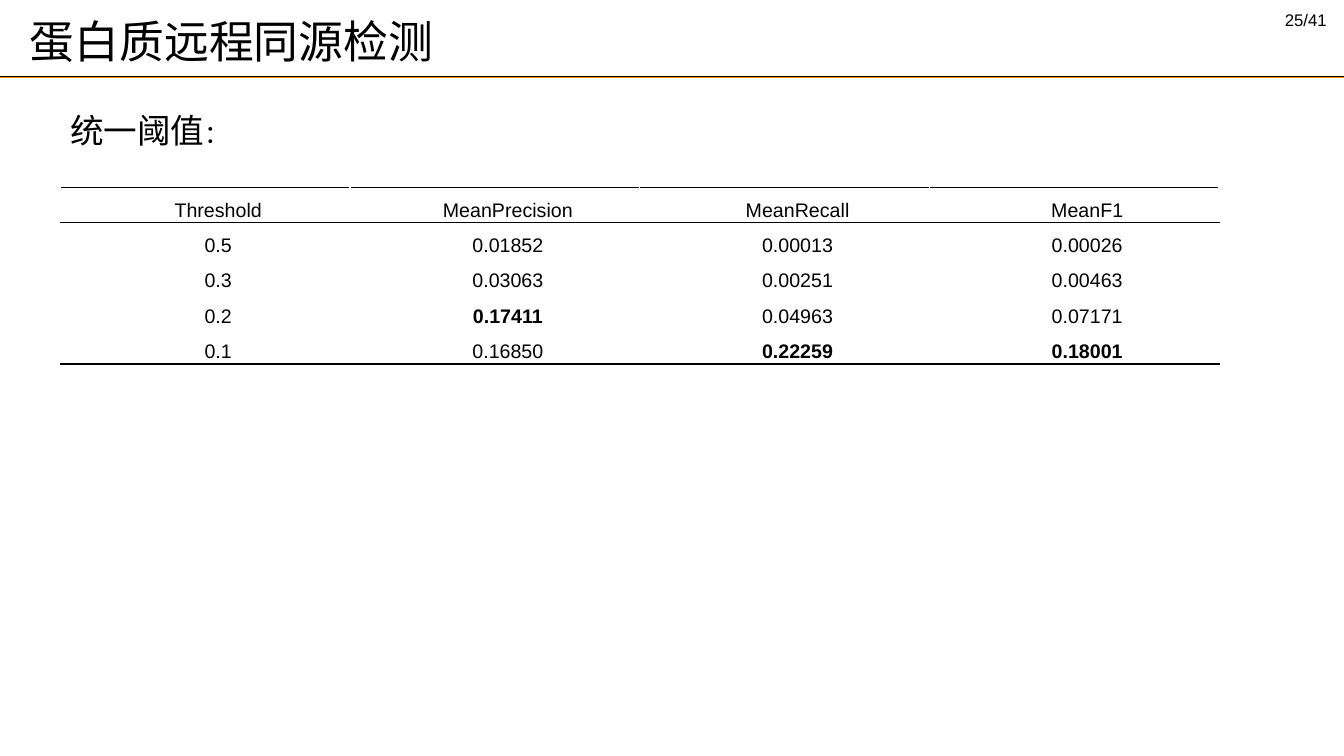
from dataclasses import dataclass

from lxml import etree
from pptx import Presentation
from pptx.dml.color import RGBColor
from pptx.enum.shapes import MSO_CONNECTOR
from pptx.enum.text import MSO_ANCHOR, MSO_AUTO_SIZE, PP_ALIGN
from pptx.oxml.ns import qn
from pptx.util import Cm, Pt

STRAIGHT = MSO_CONNECTOR.STRAIGHT
MIDDLE = MSO_ANCHOR.MIDDLE
TOP = MSO_ANCHOR.TOP
FIXED = MSO_AUTO_SIZE.NONE
GROW = MSO_AUTO_SIZE.SHAPE_TO_FIT_TEXT
LEFT = PP_ALIGN.LEFT
CENTER = PP_ALIGN.CENTER

FONT = "Arial"
COLORS = {"ink": "000000", "paper": "FFFFFF", "accent": "FF9900"}
SLIDE_WIDTH, SLIDE_HEIGHT = 33.87, 19.05
COLUMN_WIDTH, ROW_HEIGHT = 7.3, 0.89
FIRST_LINE_INDENT = 0.66

RESULTS = [
    ("Threshold", "MeanPrecision", "MeanRecall", "MeanF1"),
    ("0.5", "0.01852", "0.00013", "0.00026"),
    ("0.3", "0.03063", "0.00251", "0.00463"),
    ("0.2", "0.17411", "0.04963", "0.07171"),
    ("0.1", "0.16850", "0.22259", "0.18001"),
]
BEST_SCORES = {"0.17411", "0.22259", "0.18001"}


@dataclass
class Label:
    spans: list[tuple[str, float]]
    left: float
    top: float
    width: float
    height: float
    wrap: bool = True


@dataclass
class Rule:
    top: float
    color: str


LABELS = [
    Label([("25/41", 12)], 32.13, 0.13, 2.67, 0.76),
    Label([("统一阈值", 24), ("：", 18)], 1.52, 2.64, 4.57, 1.27, wrap=False),
]
RULES = [Rule(1.93, "ink"), Rule(1.96, "accent")]


def color(name: str) -> RGBColor:
    return RGBColor.from_string(COLORS[name])


def write(para, text: str, *, size: float, bold: bool = False, align=LEFT) -> None:
    para.alignment = align
    span = para.add_run()
    span.text = text
    span.font.name = FONT
    span.font.size = Pt(size)
    span.font.bold = bold
    span.font.color.rgb = color("ink")


def add_label(page, label: Label) -> None:
    box = page.shapes.add_textbox(
        Cm(label.left), Cm(label.top), Cm(label.width), Cm(label.height))
    frame = box.text_frame
    frame.word_wrap = label.wrap
    frame.auto_size = GROW
    frame.vertical_anchor = TOP
    for text, size in label.spans:
        write(frame.paragraphs[0], text, size=size)


def add_rule(page, rule: Rule) -> None:
    line = page.shapes.add_connector(
        STRAIGHT, Cm(0), Cm(rule.top), Cm(SLIDE_WIDTH), Cm(rule.top))
    line.line.color.rgb = color(rule.color)
    line.line.width = Pt(0.75)
    etree.SubElement(line._element.spPr, qn("a:effectLst"))


def add_border(cell, side: str, name: str) -> None:
    properties = cell._tc.get_or_add_tcPr()
    border = etree.SubElement(properties, qn(f"a:ln{side}"), w=str(Pt(1)))
    fill = etree.SubElement(border, qn("a:solidFill"))
    etree.SubElement(fill, qn("a:srgbClr"), val=COLORS[name])


def fill_cell(cell, text: str, row: int) -> None:
    dark_sides = {
        "T": row in (0, 1),
        "B": row in (0, len(RESULTS) - 1),
    }
    for side in "LRTB":
        add_border(cell, side, "ink" if dark_sides.get(side) else "paper")
    cell.fill.solid()
    cell.fill.fore_color.rgb = color("paper")
    cell.vertical_anchor = MIDDLE
    cell.margin_left = cell.margin_right = Cm(0.18)
    cell.margin_top = cell.margin_bottom = Cm(0)
    para = cell.text_frame.paragraphs[0]
    para.line_spacing = 1.5
    para._p.get_or_add_pPr().set("indent", str(Cm(FIRST_LINE_INDENT)))
    write(para, text, size=14, bold=text in BEST_SCORES, align=CENTER)


def add_results(page) -> None:
    rows, columns = len(RESULTS), len(RESULTS[0])
    table = page.shapes.add_table(
        rows, columns, Cm(1.52), Cm(4.72),
        Cm(COLUMN_WIDTH * columns), Cm(ROW_HEIGHT * rows)).table
    table.first_row = False
    table.horz_banding = False
    for column in table.columns:
        column.width = Cm(COLUMN_WIDTH)
    for row, values in enumerate(RESULTS):
        table.rows[row].height = Cm(ROW_HEIGHT)
        for column, text in enumerate(values):
            fill_cell(table.cell(row, column), text, row)


def set_title(page, text: str) -> None:
    title = page.shapes.title
    title.left, title.top = Cm(0.5), Cm(0.25)
    title.width, title.height = Cm(20.12), Cm(1.57)
    frame = title.text_frame
    frame.auto_size = FIXED
    frame.vertical_anchor = MIDDLE
    write(frame.paragraphs[0], text, size=32)


def main() -> None:
    deck = Presentation()
    deck.slide_width, deck.slide_height = Cm(SLIDE_WIDTH), Cm(SLIDE_HEIGHT)
    page = deck.slides.add_slide(deck.slide_layouts.get_by_name("Title Only"))
    page.background.fill.solid()
    page.background.fill.fore_color.rgb = color("paper")
    set_title(page, "蛋白质远程同源检测")
    for rule in reversed(RULES):
        add_rule(page, rule)
    for label in LABELS:
        add_label(page, label)
    add_results(page)
    deck.save("out.pptx")


if __name__ == "__main__":
    main()
